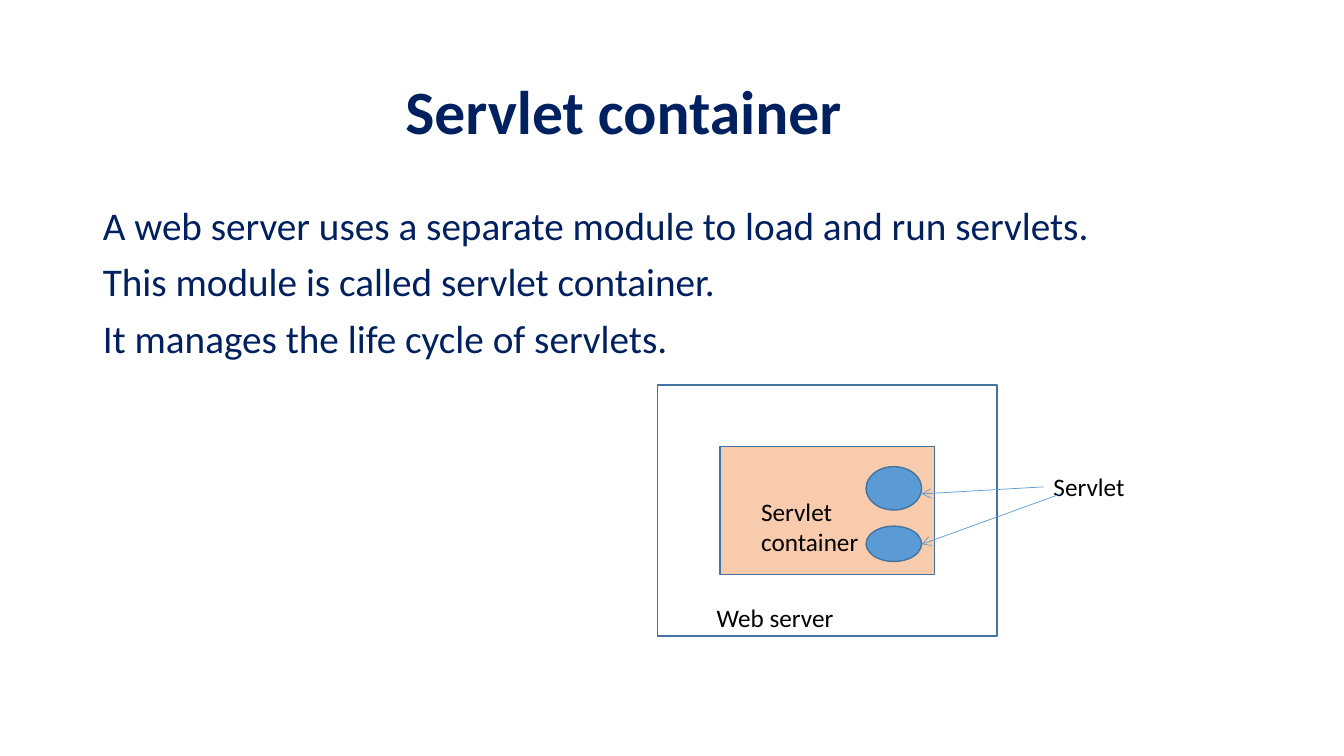
from dataclasses import dataclass

from lxml import etree
from pptx import Presentation
from pptx.dml.color import RGBColor
from pptx.enum.shapes import MSO_CONNECTOR, MSO_SHAPE
from pptx.enum.text import MSO_ANCHOR, MSO_AUTO_SIZE, PP_ALIGN
from pptx.oxml.ns import qn
from pptx.util import Pt

PX = 9144  # EMU in one px, 100 px to the inch
RECT, OVAL = MSO_SHAPE.RECTANGLE, MSO_SHAPE.OVAL
STRAIGHT = MSO_CONNECTOR.STRAIGHT
LEFT_SIDE = 1
COLORS = {"navy": "002060", "black": "000000", "peach": "F8CBAD",
          "blue": "5B9BD5", "outline": "43739E"}


@dataclass
class Box:
    x: int
    y: int
    w: int
    h: int

    def emu(self) -> tuple[int, ...]:
        return tuple(v * PX for v in (self.x, self.y, self.w, self.h))


@dataclass
class Block:
    kind: int
    box: Box
    fill: str | None = None


@dataclass
class Label:
    text: str
    box: Box


@dataclass
class Arrow:
    x1: int
    y1: int
    x2: int
    y2: int


TITLE_BOX = Box(92, 41, 1150, 145)
BODY_BOX = Box(92, 200, 1150, 536)
TITLE_INDENT = 300
BODY_LINES = [
    "A web server uses a separate module to load and run servlets.",
    "This module is called servlet container.",
    "It manages the life cycle of servlets.",
]
CONTAINERS = [Block(RECT, Box(714, 443, 213, 127), "peach"),
              Block(RECT, Box(652, 382, 337, 249))]
LABELS = [Label("Servlet container", Box(745, 487, 182, 71)),
          Label("Web server", Box(701, 593, 213, 40))]
SERVLETS = [Block(OVAL, Box(859, 463, 55, 43), "blue"),
            Block(OVAL, Box(859, 522, 55, 35), "blue")]
SERVLET_LABEL = Label("Servlet", Box(1035, 463, 161, 40))
ARROWS = [Arrow(1035, 483, 914, 490), Arrow(1052, 490, 914, 540)]


def rgb(name: str) -> RGBColor:
    return RGBColor.from_string(COLORS[name])


def set_all(target, **values) -> None:
    for name, value in values.items():
        setattr(target, name, value)


def place(sp, box: Box) -> None:
    set_all(sp, **dict(zip(("left", "top", "width", "height"), box.emu())))


def write(p, text: str, color: str, size: int, bold: bool = False) -> None:
    r = p.add_run()
    r.text = text
    set_all(r.font, name="Calibri", size=Pt(size), bold=bold)
    r.font.color.rgb = rgb(color)


def fill_placeholder(sp, box: Box, lines: list[str], size: int, anchor,
                     indent: int = 0, bold: bool = False, before: int = 0) -> None:
    place(sp, box)
    tf = sp.text_frame
    set_all(tf, word_wrap=True, auto_size=MSO_AUTO_SIZE.NONE,
            vertical_anchor=anchor)
    for i, line in enumerate(lines):
        p = tf.add_paragraph() if i else tf.paragraphs[0]
        set_all(p, alignment=PP_ALIGN.LEFT, line_spacing=0.9,
                space_before=Pt(before))
        pPr = p._p.get_or_add_pPr()
        pPr.set("marL", str(indent * PX))
        pPr.set("indent", "0")
        etree.SubElement(pPr, qn("a:buNone"))
        write(p, line, "navy", size, bold)


def add_block(shapes, block: Block) -> None:
    sp = shapes.add_shape(block.kind, *block.box.emu())
    sp.shadow.inherit = False
    if block.fill:
        sp.fill.solid()
        sp.fill.fore_color.rgb = rgb(block.fill)
    else:
        sp.fill.background()
    sp.line.color.rgb = rgb("outline")
    sp.line.width = Pt(1)


def add_label(shapes, label: Label):
    sp = shapes.add_textbox(*label.box.emu())
    tf = sp.text_frame
    set_all(tf, word_wrap=True, auto_size=MSO_AUTO_SIZE.SHAPE_TO_FIT_TEXT)
    write(tf.paragraphs[0], label.text, "black", 18)
    return sp


def add_arrow(shapes, arrow: Arrow):
    ends = (arrow.x1, arrow.y1, arrow.x2, arrow.y2)
    cxn = shapes.add_connector(STRAIGHT, *(v * PX for v in ends))
    cxn.line.color.rgb = rgb("blue")
    cxn.line.width = Pt(0.5)
    etree.SubElement(cxn.line._get_or_add_ln(), qn("a:tailEnd"), type="arrow")
    etree.SubElement(cxn._element.spPr, qn("a:effectLst"))
    return cxn


def main() -> None:
    prs = Presentation()
    set_all(prs, slide_width=1333 * PX, slide_height=750 * PX)
    s = prs.slides.add_slide(prs.slide_layouts[1])
    shapes = s.shapes

    # Title and text
    fill_placeholder(shapes.title, TITLE_BOX, ["Servlet container"], 44,
                     MSO_ANCHOR.MIDDLE, indent=TITLE_INDENT, bold=True)
    fill_placeholder(s.placeholders[1], BODY_BOX, BODY_LINES, 28,
                     MSO_ANCHOR.TOP, before=10)

    # Web server with its servlet container
    for block in CONTAINERS:
        add_block(shapes, block)
    for label in LABELS:
        add_label(shapes, label)
    for block in SERVLETS:
        add_block(shapes, block)

    # Servlet label and its arrows
    servlet = add_label(shapes, SERVLET_LABEL)
    arrows = [add_arrow(shapes, arrow) for arrow in ARROWS]
    arrows[0].begin_connect(servlet, LEFT_SIDE)

    prs.save("out.pptx")


if __name__ == "__main__":
    main()
